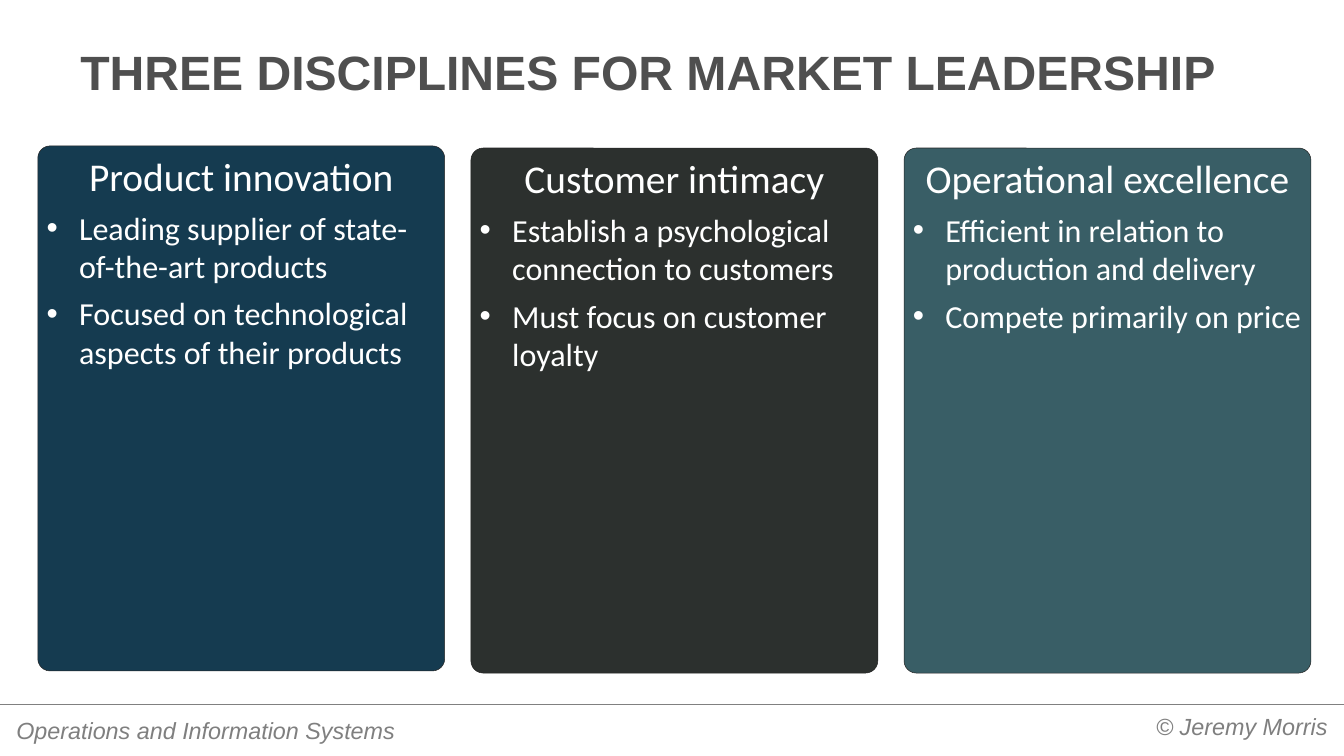
"""Build the slide on three disciplines for market leadership."""
from lxml import etree
from pptx import Presentation
from pptx import util as u
from pptx.dml.color import RGBColor
from pptx.enum import shapes, text
from pptx.oxml import ns

Inches, Pt = u.Inches, u.Pt
LEFT, CENTER, RIGHT = text.PP_ALIGN.LEFT, text.PP_ALIGN.CENTER, text.PP_ALIGN.RIGHT


def color(value):
    return RGBColor.from_string(value)


class Deck:
    heading_font = "Arial"
    card_font = "Calibri"
    title_color = "4F4F4F"
    footer_color = "7F7F7F"
    rule_color = "808080"
    card_line = "262626"
    card_text = "FFFFFF"
    indent = Inches(0.62)

    def __init__(self, width, height):
        self.presentation = Presentation()
        self.presentation.slide_width = Inches(width)
        self.presentation.slide_height = Inches(height)
        self.slide = self.presentation.slides.add_slide(self.presentation.slide_layouts[5])

    def frame(self, shape, horizontal, vertical, anchor):
        frame = shape.text_frame
        frame.word_wrap = True
        frame.auto_size = text.MSO_AUTO_SIZE.NONE
        frame.vertical_anchor = anchor
        frame.margin_left = frame.margin_right = Inches(horizontal)
        frame.margin_top = frame.margin_bottom = Inches(vertical)
        return frame

    def style(self, paragraph, content, name, size, ink, align=LEFT, bold=False, italic=False):
        paragraph.text = content
        paragraph.alignment = align
        font = paragraph.font
        font.name, font.size, font.bold, font.italic = name, Pt(size), bold, italic
        font.color.rgb = color(ink)

    def title(self, content, left, top, width, height):
        shape = self.slide.shapes.title
        shape.left, shape.top = Inches(left), Inches(top)
        shape.width, shape.height = Inches(width), Inches(height)
        frame = self.frame(shape, 0.25, 0.12, text.MSO_ANCHOR.BOTTOM)
        self.style(frame.paragraphs[0], content, self.heading_font, 66, self.title_color, bold=True)

    def rule(self, top):
        y = Inches(top)
        line = self.slide.shapes.add_connector(
            shapes.MSO_CONNECTOR.STRAIGHT, 0, y, self.presentation.slide_width, y)
        line.line.color.rgb = color(self.rule_color)
        line.line.width = Pt(0.75)
        etree.SubElement(line._element.spPr, ns.qn("a:effectLst"))

    def footer(self, content, left, top, width, height, align):
        box = self.slide.shapes.add_textbox(Inches(left), Inches(top), Inches(width), Inches(height))
        frame = self.frame(box, 0.18, 0.09, text.MSO_ANCHOR.TOP)
        self.style(frame.paragraphs[0], content, self.heading_font, 32, self.footer_color,
                   align, italic=True)

    def bullet(self, paragraph):
        properties = paragraph._p.get_or_add_pPr()
        properties.set("marL", str(self.indent))
        properties.set("indent", str(-self.indent))
        etree.SubElement(properties, ns.qn("a:buFont"), typeface="Arial")
        etree.SubElement(properties, ns.qn("a:buChar"), char="•")

    def card(self, heading, points, fill, left, top, width, height):
        card = self.slide.shapes.add_shape(
            shapes.MSO_SHAPE.ROUNDED_RECTANGLE,
            Inches(left), Inches(top), Inches(width), Inches(height))
        card.adjustments[0] = 0.03
        card.shadow.inherit = False
        card.fill.solid()
        card.fill.fore_color.rgb = color(fill)
        card.line.color.rgb = color(self.card_line)
        card.line.width = Pt(0.75)
        frame = self.frame(card, 0.1, 0.05, text.MSO_ANCHOR.TOP)
        self.style(frame.paragraphs[0], heading, self.card_font, 54, self.card_text, CENTER)
        for point in points:
            paragraph = frame.add_paragraph()
            self.style(paragraph, point, self.card_font, 44, self.card_text)
            self.bullet(paragraph)
        for paragraph in frame.paragraphs:
            paragraph.space_before = paragraph.space_after = Pt(6)


DISCIPLINES = [
    ("Product innovation", "153B50", 2.78,
     ["Leading supplier of state-of-the-art products",
      "Focused on technological aspects of their products"]),
    ("Customer intimacy", "2C302E", 2.82,
     ["Establish a psychological connection to customers",
      "Must focus on customer loyalty"]),
    ("Operational excellence", "395E66", 2.82,
     ["Efficient in relation to production and delivery",
      "Compete primarily on price"]),
]
CARD_LEFT, CARD_WIDTH, CARD_HEIGHT, CARD_GAP = 0.72, 7.75, 10, 0.5

deck = Deck(25.6, 14.4)
deck.rule(13.41)
deck.footer("© Jeremy Morris", 14.58, 13.48, 10.89, 0.72, RIGHT)
deck.footer("Operations and Information Systems", 0.13, 13.56, 8.75, 0.72, LEFT)
deck.title("THREE DISCIPLINES FOR MARKET LEADERSHIP", 1.28, 0.53, 23.04, 1.49)
for column, (heading, fill, top, points) in enumerate(DISCIPLINES):
    left = CARD_LEFT + column * (CARD_WIDTH + CARD_GAP)
    deck.card(heading, points, fill, left, top, CARD_WIDTH, CARD_HEIGHT)
deck.presentation.save("out.pptx")
